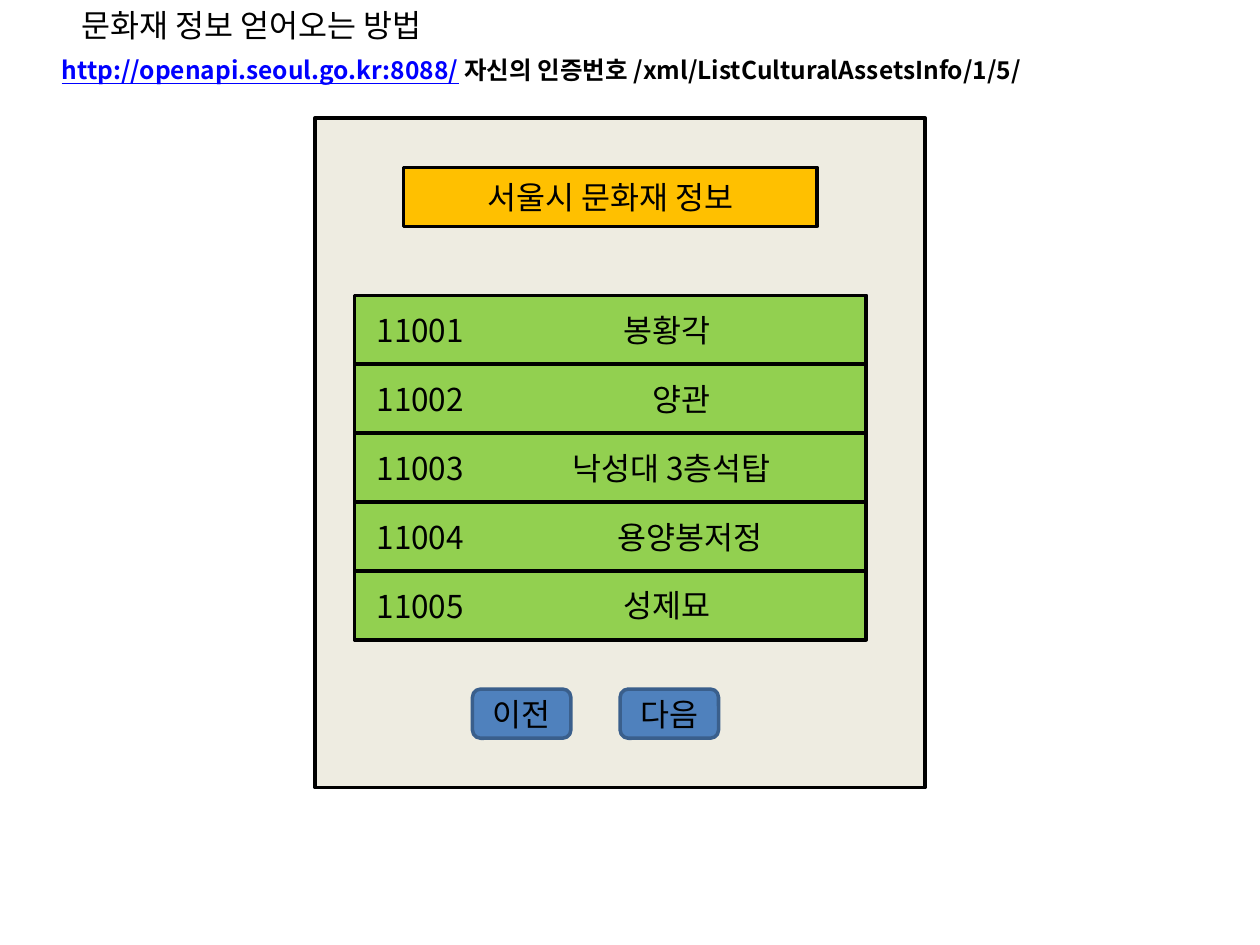
from typing import NamedTuple

from lxml import etree
from pptx import Presentation, util as u
from pptx.dml.color import RGBColor
from pptx.enum import shapes, text
from pptx.oxml.ns import qn

COLS, ROWS = 64, 48
FONT = "Noto Sans CJK KR"
INK = {
    "black": "000000", "panel": "EEECE1", "gold": "FFC000", "green": "92D050",
    "blue": "4F81BD", "navy": "3A5F8C", "link": "0000FF",
}
RECT = shapes.MSO_SHAPE.RECTANGLE
ROUND = shapes.MSO_SHAPE.ROUNDED_RECTANGLE
LEFT, MID = text.PP_ALIGN.LEFT, text.PP_ALIGN.CENTER
GROW = text.MSO_AUTO_SIZE.SHAPE_TO_FIT_TEXT

prs = Presentation()
prs.slide_width, prs.slide_height = u.Inches(10), u.Inches(7.5)
CELL = prs.slide_width / COLS


class Area(NamedTuple):
    """Left, top, width and height in grid cells."""
    x: float
    y: float
    w: float
    h: float

    def emu(self) -> list[int]:
        return [round(n * CELL) for n in self]


class Asset(NamedTuple):
    """One listed asset; shift is the extra left inset in columns."""
    code: str
    name: str
    shift: float


class Part(NamedTuple):
    """A run of text with its format."""
    words: str
    ink: str = "black"
    form: dict = {"size": u.Pt(18)}


ASSETS = [
    Asset("11001", "봉황각", 5.75),
    Asset("11002", "양관", 7.2),
    Asset("11003", "낙성대 3층석탑", 6.2),
    Asset("11004", "용양봉저정", 8.1),
    Asset("11005", "성제묘", 5.75),
]
LIST = Area(18, 15, 26, 3.5)
BOLD = {"size": u.Pt(14), "bold": True}


def color(name: str) -> RGBColor:
    return RGBColor.from_string(INK[name])


def write(shape, parts: list[Part], align, anchor, **frame) -> None:
    box = shape.text_frame
    for key, val in {"word_wrap": True, "vertical_anchor": anchor, **frame}.items():
        setattr(box, key, val)
    para = box.paragraphs[0]
    para.alignment = align
    for part in parts:
        run = para.add_run()
        run.text = part.words
        for key, val in {"name": FONT, **part.form}.items():
            setattr(run.font, key, val)
        run.font.color.rgb = color(part.ink)
        east = etree.SubElement(run.font._element, qn("a:ea"))
        east.set("typeface", FONT)


def block(slide, kind, area: Area, fill: str, line: str = "black",
          words: str = "", shift: float = 0) -> None:
    shape = slide.shapes.add_shape(kind, *area.emu())
    shape.shadow.inherit = False
    shape.fill.solid()
    shape.fill.fore_color.rgb = color(fill)
    shape.line.color.rgb = color(line)
    shape.line.width = u.Pt(2)
    if words:
        inset = u.Inches(0.1) + round(shift * CELL)
        write(shape, [Part(words)], MID, text.MSO_ANCHOR.MIDDLE, margin_left=inset)


def label(slide, area: Area, parts: list[Part]) -> None:
    box = slide.shapes.add_textbox(*area.emu())
    write(box, parts, LEFT, text.MSO_ANCHOR.TOP, auto_size=GROW)


def main() -> None:
    slide = prs.slides.add_slide(prs.slide_layouts[5])
    title = slide.shapes.title
    spot = Area(3.5, 0, 57, 2.6).emu()
    for key, val in zip(("left", "top", "width", "height"), spot):
        setattr(title, key, val)
    write(title, [Part("문화재 정보 얻어오는 방법")], LEFT,
          text.MSO_ANCHOR.TOP, auto_size=GROW)
    label(slide, Area(2.5, 2.5, 70, 2.15), [
        Part("http://openapi.seoul.go.kr:8088/", "link", {**BOLD, "underline": True}),
        Part(" 자신의 인증번호 /xml/ListCulturalAssetsInfo/1/5/", "black", BOLD),
    ])

    block(slide, RECT, Area(16, 6, 31, 34), "panel")
    block(slide, RECT, Area(20.5, 8.5, 21, 3), "gold", words="서울시 문화재 정보")
    for i, asset in enumerate(ASSETS):
        row = LIST._replace(y=LIST.y + i * LIST.h)
        block(slide, RECT, row, "green", words=asset.name, shift=asset.shift)
        label(slide, Area(row.x + 0.5, row.y + 0.5, 7.5, 2.6), [Part(asset.code)])
    for i, words in enumerate(("이전", "다음")):
        block(slide, ROUND, Area(24 + 7.5 * i, 35, 5, 2.5), "blue", "navy", words)

    prs.save("out.pptx")


if __name__ == "__main__":
    main()
